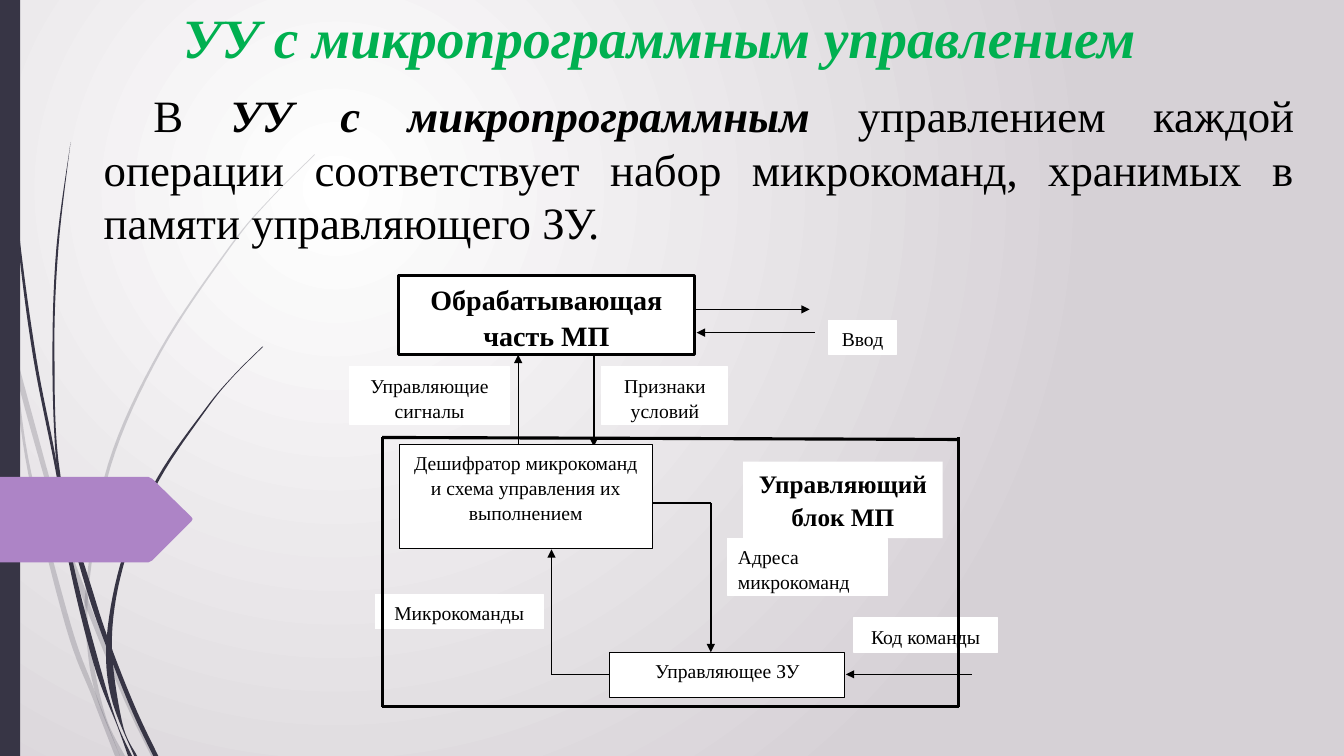
from pptx import Presentation
from pptx.dml.color import RGBColor
from pptx.enum.shapes import MSO_CONNECTOR, MSO_SHAPE
from pptx.enum.text import MSO_ANCHOR, PP_ALIGN
from pptx.oxml import parse_xml
from pptx.oxml.ns import qn
from pptx.util import Cm, Pt
from lxml.etree import SubElement

FONT = "Times New Roman"
BLACK, WHITE = RGBColor(0, 0, 0), RGBColor(255, 255, 255)
GREEN = RGBColor(0x00, 0xB0, 0x50)
SLATE = RGBColor(0x37, 0x35, 0x45)
VIOLET = RGBColor(0xAD, 0x84, 0xC6)
UNIT = 2.54  # centimetres in one layout unit

TITLE = "УУ с микропрограммным управлением"
BODY = [("В ", False), ("УУ с микропрограммным", True),
        (" управлением каждой операции соответствует набор микрокоманд, "
         "хранимых в памяти управляющего ЗУ.", False)]

# text, (left, top, width, height), size, bold, outline colour, outline width, alignment
C, L = PP_ALIGN.CENTER, PP_ALIGN.LEFT
BLOCKS = [
    ("Ввод", (8.22, 3.18, 0.67, 0.34), 14, False, WHITE, 0.75, C),
    ("Признаки условий", (5.97, 3.64, 1.25, 0.57), 14, False, WHITE, 0.75, C),
    ("Управляющие сигналы", (3.47, 3.64, 1.58, 0.57), 14, False, WHITE, 0.75, C),
    ("Дешифратор микрокоманд и схема управления их выполнением",
     (3.96, 4.41, 2.51, 1.03), 14, False, BLACK, 0.75, C),
    ("Управляющее ЗУ", (6.05, 6.47, 2.33, 0.45), 14, False, BLACK, 0.75, C),
    ("Код команды", (8.47, 6.13, 1.42, 0.34), 14, False, WHITE, 0.75, C),
    ("Адреса микрокоманд", (7.22, 5.34, 1.58, 0.57), 14, False, WHITE, 0.75, L),
    ("Микрокоманды", (3.72, 5.9, 1.67, 0.34), 14, False, WHITE, 0.75, C),
    ("Обрабатывающая\nчасть МП", (3.95, 2.73, 2.94, 0.79), 20, True, BLACK, 2.25, C),
    ("Управляющий блок МП", (7.37, 4.58, 1.98, 0.76), 18, True, None, 0, C),
]
# Each route ends in an arrowhead
ROUTES = [
    [(5.14, 4.43), (5.14, 3.52)],
    [(5.89, 3.52), (5.89, 4.43)],
    [(6.89, 3.07), (8.03, 3.07)],
    [(8.08, 3.3), (6.91, 3.3)],
    [(9.64, 6.69), (8.39, 6.69)],
    [(6.05, 6.69), (5.47, 6.69), (5.47, 5.45)],
    [(6.47, 4.99), (7.05, 4.99), (7.05, 6.47)],
]
FRAME = [(9.51, 4.36), (3.79, 4.34), (3.79, 7.01), (9.51, 7.01), (9.51, 4.34)]

# Grass blades: (left edge, right edge), both from tip to root
PALE_BLADES = [
    ([(0, 2.82), (0, 2.99), (0.11, 3.5), (0.28, 4.7), (0.65, 6.21), (0.92, 6.93), (1.14, 7.5)],
     [(0, 2.82), (0.09, 3.22), (0.17, 3.76), (0.31, 4.69), (0.7, 6.19), (0.93, 6.83),
      (1.19, 7.5)]),
    ([(0.14, 3.45), (0.17, 3.76), (0.58, 5.22), (0.84, 5.99), (1.23, 6.94), (1.5, 7.5)],
     [(0.14, 3.45), (0.62, 5.2), (0.85, 5.86), (0.92, 6.07), (1.27, 6.92), (1.55, 7.5)]),
    ([(3.12, 1.53), (2.68, 1.97), (2.28, 2.44), (1.58, 3.48), (1.07, 4.61), (0.85, 5.84),
      (0.87, 6.46), (0.96, 6.92), (1.19, 7.5)],
     [(3.12, 1.54), (2.68, 1.98), (2.29, 2.45), (1.6, 3.49), (1.1, 4.62), (0.88, 5.84),
      (0.91, 6.46), (1.05, 7.11), (1.24, 7.5)]),
]
DARK_BLADES = [
    ([(0.03, 0), (0.07, 1.1), (0.17, 2.33), (0.33, 3.55), (0.57, 4.77), (0.68, 5.57),
      (0.93, 6.59), (1.17, 7.22), (1.27, 7.5)],
     [(0.04, 0), (0.08, 1.09), (0.19, 2.32), (0.36, 3.55), (0.55, 4.53), (0.72, 5.56),
      (0.98, 6.57), (1.16, 7.17), (1.31, 7.5)]),
    ([(0.7, 1.41), (0.56, 2.45), (0.52, 3.49), (0.55, 4.49), (0.64, 5.05), (0.88, 5.92),
      (1.11, 6.56), (1.32, 7.08), (1.52, 7.5)],
     [(0.7, 1.41), (0.58, 2.45), (0.54, 3.49), (0.6, 4.72), (0.93, 5.9), (1.13, 6.49),
      (1.36, 7.06), (1.57, 7.5)]),
    ([(2.6, 3.44), (2.31, 3.73), (2.04, 4.05), (1.56, 4.74), (1.22, 5.51), (1.06, 6.31),
      (1.1, 6.91), (1.33, 7.5)],
     [(2.61, 3.44), (2.31, 3.74), (2.05, 4.06), (1.58, 4.76), (1.25, 5.52), (1.11, 6.33),
      (1.21, 7.16), (1.36, 7.5)]),
]
POINTER = [(0, 4.73), (1.47, 4.73), (1.51, 4.75), (1.9, 5.13), (1.91, 5.15),
           (1.9, 5.17), (1.51, 5.56), (1.47, 5.58), (0, 5.58)]

BACKGROUND = (
    '<p:bg xmlns:p="http://schemas.openxmlformats.org/presentationml/2006/main" '
    'xmlns:a="http://schemas.openxmlformats.org/drawingml/2006/main"><p:bgPr>'
    '<a:gradFill rotWithShape="1"><a:gsLst>'
    '<a:gs pos="0"><a:srgbClr val="FFFFFF"/></a:gs>'
    '<a:gs pos="100000"><a:srgbClr val="D6D1D6"/></a:gs></a:gsLst>'
    '<a:path path="circle"><a:fillToRect l="50000" t="50000" r="100000" b="100000"/></a:path>'
    '</a:gradFill><a:effectLst/></p:bgPr></p:bg>')


def units(*values):
    """Turn layout units into lengths."""
    return [Cm(value * UNIT) for value in values]


def smooth(knots, steps=8):
    """Return points on a Catmull-Rom curve through the knots."""
    padded = [knots[0], *knots, knots[-1]]
    curve = []
    for a, b, c, d in zip(padded, padded[1:], padded[2:], padded[3:]):
        for t in (step / steps for step in range(steps)):
            curve.append(tuple(
                (2 * q + (r - p) * t + (2 * p - 5 * q + 4 * r - s) * t ** 2
                 + (3 * q - p - 3 * r + s) * t ** 3) / 2
                for p, q, r, s in zip(a, b, c, d)))
    return curve + [knots[-1]]


def paint(shape, colour, opacity=100):
    """Give a shape a flat fill without outline or shadow."""
    shape.shadow.inherit = False
    shape.fill.solid()
    shape.fill.fore_color.rgb = colour
    shape.line.fill.background()
    if opacity < 100:
        tint = shape.fill._xPr.find(".//" + qn("a:srgbClr"))
        SubElement(tint, qn("a:alpha"), val=str(opacity * 1000))


def add_outline(points, colour, opacity=100):
    """Draw a closed filled outline."""
    corners = [units(*point) for point in points]
    builder = slide.shapes.build_freeform(*corners[0])
    builder.add_line_segments(corners[1:], close=True)
    paint(builder.convert_to_shape(), colour, opacity)


def add_route(points, width, arrow):
    """Join points with straight lines, optionally ending in an arrowhead."""
    for start, end in zip(points, points[1:]):
        link = slide.shapes.add_connector(MSO_CONNECTOR.STRAIGHT, *units(*start, *end))
        link.line.color.rgb = BLACK
        link.line.width = Pt(width)
        SubElement(link._element.spPr, qn("a:effectLst"))
        if arrow and end == points[-1]:
            SubElement(link.line._get_or_add_ln(), qn("a:tailEnd"), type="triangle")


def style(run, size, colour=BLACK, bold=False, italic=False):
    """Set the font of a run."""
    run.font.name, run.font.size = FONT, Pt(size)
    run.font.color.rgb = colour
    run.font.bold, run.font.italic = bold, italic


def add_block(text, box, size, bold, edge, edge_width, alignment):
    """Draw a white block with its caption at the top."""
    block = slide.shapes.add_shape(MSO_SHAPE.RECTANGLE, *units(*box))
    paint(block, WHITE)
    if edge is not None:
        block.line.color.rgb = edge
        block.line.width = Pt(edge_width)
    frame = block.text_frame
    frame.word_wrap = True
    frame.vertical_anchor = MSO_ANCHOR.TOP
    frame.text = text
    for paragraph in frame.paragraphs:
        paragraph.alignment = alignment
        paragraph.line_spacing = 1.07
        style(paragraph.runs[0], size, bold=bold)


def add_heading(box, anchor, alignment):
    """Add a wrapping text box and return its first paragraph."""
    frame = slide.shapes.add_textbox(*units(*box)).text_frame
    frame.word_wrap = True
    frame.vertical_anchor = anchor
    frame.paragraphs[0].alignment = alignment
    return frame.paragraphs[0]


deck = Presentation()
deck.slide_width, deck.slide_height = units(13.33, 7.5)
slide = deck.slides.add_slide(deck.slide_layouts[6])
slide._element.cSld.insert(0, parse_xml(BACKGROUND))

for blades, opacity in ((PALE_BLADES, 20), (DARK_BLADES, 100)):
    for left_edge, right_edge in blades:
        add_outline(smooth(left_edge) + smooth(right_edge)[::-1], SLATE, opacity)
paint(slide.shapes.add_shape(MSO_SHAPE.RECTANGLE, *units(0, 0, 0.2, 7.5)), SLATE)
add_outline(POINTER, VIOLET)

title = add_heading((0.86, 0.24, 11.36, 0.5), MSO_ANCHOR.BOTTOM, PP_ALIGN.CENTER)
title.text = TITLE
style(title.runs[0], 39.6, GREEN, bold=True, italic=True)

for route in ROUTES:
    add_route(route, 1, arrow=True)
for block_row in BLOCKS:
    add_block(*block_row)
add_route(FRAME, 2.25, arrow=False)

body = add_heading((0.93, 0.82, 12.01, 1.72), MSO_ANCHOR.TOP, PP_ALIGN.JUSTIFY)
body._p.get_or_add_pPr().set("indent", str(Cm(1.25)))
for words, strong in BODY:
    phrase = body.add_run()
    phrase.text = words
    style(phrase, 32, bold=strong, italic=strong)

deck.save("out.pptx")
